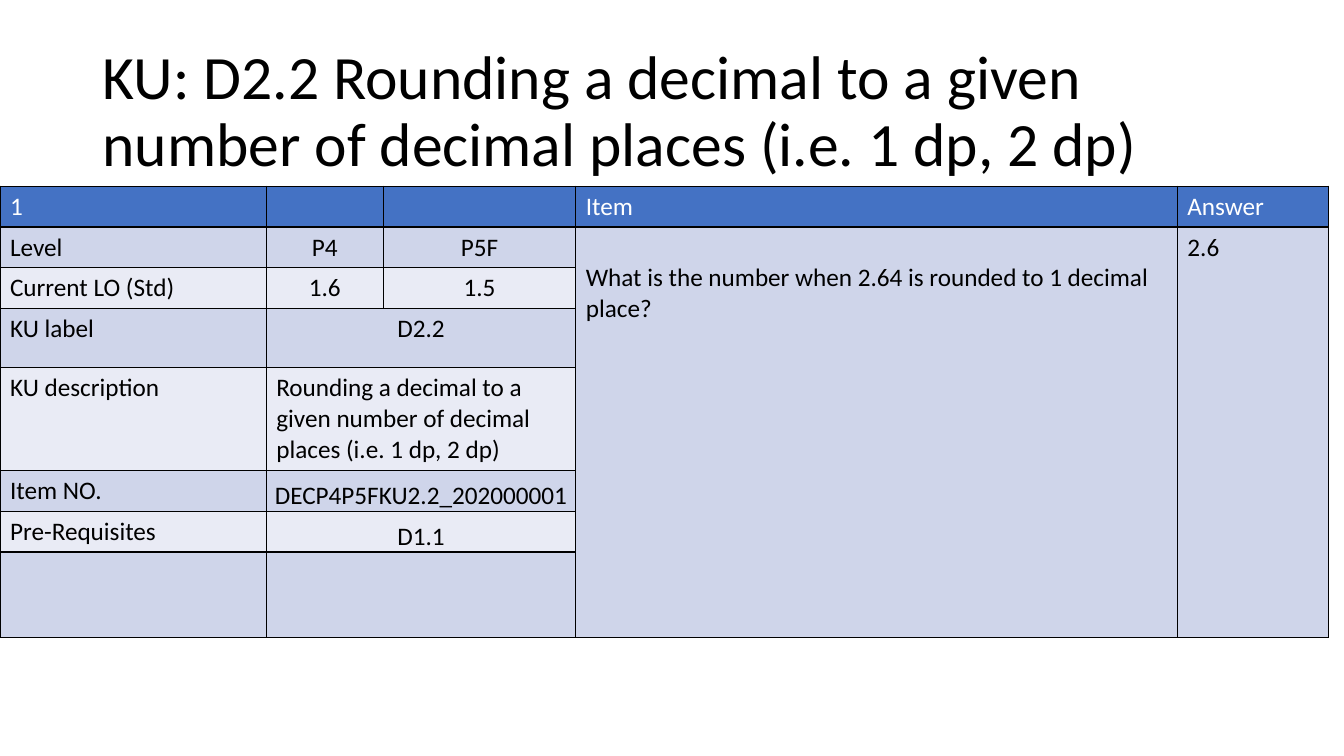
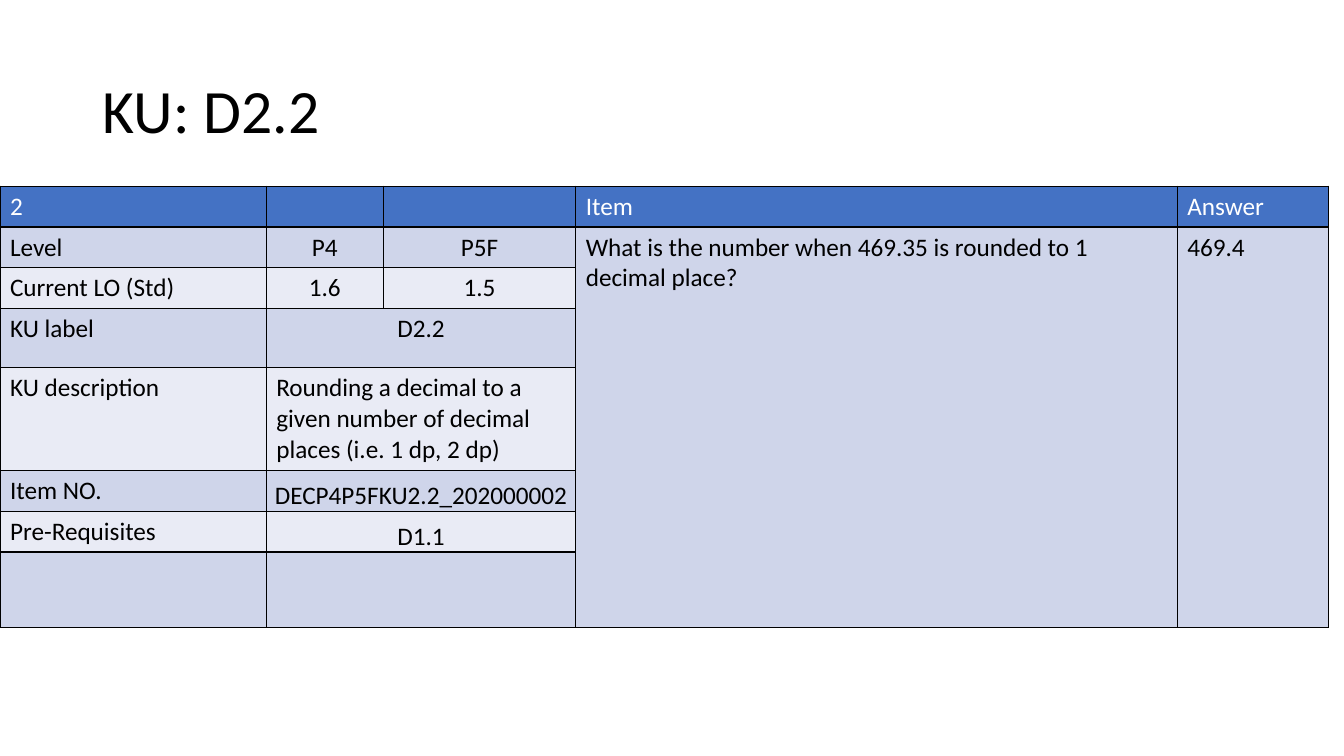
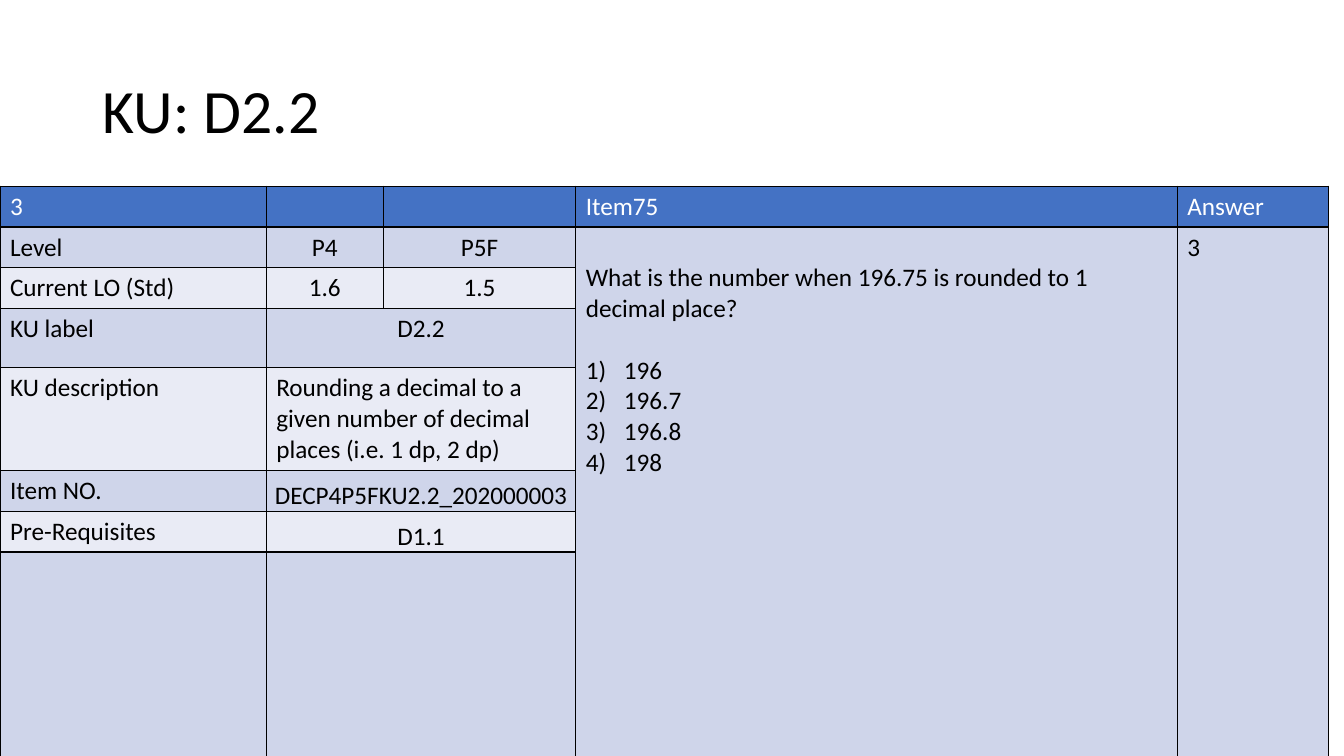
from lxml import etree
from pptx import Presentation
from pptx.dml.color import RGBColor
from pptx.enum.text import MSO_ANCHOR, PP_ALIGN
from pptx.oxml.ns import qn
from pptx.util import Cm, Pt

FONT = "Calibri"
BLACK = RGBColor(0x00, 0x00, 0x00)
WHITE = RGBColor(0xFF, 0xFF, 0xFF)
BLUE = RGBColor(0x44, 0x72, 0xC4)
DARK = RGBColor(0xCF, 0xD5, 0xEA)
PALE = RGBColor(0xE9, 0xEB, 0xF5)

TOPIC = "Rounding a decimal to a given number of decimal places (i.e. 1 dp, 2 dp)"
ASK = "What is the number when {} is rounded to 1 decimal place?"
CODE = "DECP4P5FKU2.2_20200000{}"
LABELS = ["Level", "Current LO (Std)", "KU label", "KU description",
          "Item NO.", "Pre-Requisites"]
LEVELS = [("P4", "P5F"), ("1.6", "1.5")]

ITEMS = [
    dict(title="KU: D2.2 " + TOPIC, head="Item", value="2.64", answer="2.6",
         choices=[], top=0.9, last=2.16),
    dict(title="KU: D2.2", head="Item", value="469.35", answer="469.4",
         choices=[], top=0.13, last=1.9),
    dict(title="KU: D2.2", head="Item75", value="196.75", answer="3",
         choices=["196", "196.7", "196.8", "198"], top=0.9, last=6.5),
]

COLS = [6.71, 2.95, 4.85, 15.16, 3.81]
ROWS = [1.03, 1.03, 1.03, 1.49, 2.58, 1.03, 1.03]
TABLE_TOP = 4.69
TITLE_BOX = (2.33, 1.01, 29.21, 3.68)
LINE = 22
INDENT = Cm(0.96)


def add_run(para, words, size=18, color=BLACK):
    run = para.add_run()
    run.text = words
    run.font.name = FONT
    run.font.size = Pt(size)
    run.font.bold = False
    run.font.color.rgb = color


def write(cell, words, color=BLACK, align=PP_ALIGN.LEFT):
    para = cell.text_frame.paragraphs[0]
    para.alignment = align
    add_run(para, words, color=color)


def add_border(cell):
    props = cell._tc.get_or_add_tcPr()
    for place, side in enumerate(("lnL", "lnR", "lnT", "lnB")):
        line = etree.Element(qn("a:" + side), w=str(Pt(1)))
        fill = etree.SubElement(line, qn("a:solidFill"))
        etree.SubElement(fill, qn("a:srgbClr"), val=str(BLACK))
        props.insert(place, line)


def add_choices(cell, choices):
    for rank, choice in enumerate(choices):
        para = cell.text_frame.add_paragraph()
        if rank == 0:
            para.space_before = Pt(LINE)
        add_run(para, choice)
        props = para._p.get_or_add_pPr()
        props.set("marL", str(INDENT))
        props.set("indent", str(-INDENT))
        etree.SubElement(props, qn("a:buAutoNum"), type="arabicParenR")


def add_title(slide, words):
    title = slide.shapes.title
    title.left, title.top, title.width, title.height = map(Cm, TITLE_BOX)
    frame = title.text_frame
    frame.word_wrap = True
    frame.vertical_anchor = MSO_ANCHOR.MIDDLE
    para = frame.paragraphs[0]
    para.alignment = PP_ALIGN.LEFT
    para.line_spacing = 0.9
    add_run(para, words, size=44)


def add_grid(slide, rows):
    frame = slide.shapes.add_table(len(rows), len(COLS), 0, Cm(TABLE_TOP),
                                   Cm(sum(COLS)), Cm(sum(rows)))
    table = frame.table
    table.first_row = table.horz_banding = False
    for col, width in zip(table.columns, COLS):
        col.width = Cm(width)
    for r, height in enumerate(rows):
        table.rows[r].height = Cm(height)
        for c in range(len(COLS)):
            cell = table.cell(r, c)
            cell.fill.solid()
            band = DARK if r % 2 or c > 2 else PALE
            cell.fill.fore_color.rgb = band if r else BLUE
            add_border(cell)
    end = len(rows) - 1
    for r in range(3, end + 1):
        table.cell(r, 1).merge(table.cell(r, 2))
    for c in (3, 4):
        table.cell(1, c).merge(table.cell(end, c))
    return table


def add_item(deck, number, item):
    slide = deck.slides.add_slide(deck.slide_layouts[5])
    add_title(slide, item["title"])
    table = add_grid(slide, ROWS + [item["last"]])
    for c, words in ((0, str(number)), (3, item["head"]), (4, "Answer")):
        write(table.cell(0, c), words, WHITE)
    for r, words in enumerate(LABELS, 1):
        write(table.cell(r, 0), words)
    for r, pair in enumerate(LEVELS, 1):
        for c, words in enumerate(pair, 1):
            write(table.cell(r, c), words, align=PP_ALIGN.CENTER)
    write(table.cell(3, 1), "D2.2", align=PP_ALIGN.CENTER)
    write(table.cell(4, 1), TOPIC)
    for r, words in ((5, CODE.format(number)), (6, "D1.1")):
        cell = table.cell(r, 1)
        cell.vertical_anchor = MSO_ANCHOR.BOTTOM
        cell.margin_left = cell.margin_right = cell.margin_top = Cm(0.03)
        cell.margin_bottom = 0
        write(cell, words, align=PP_ALIGN.CENTER)
    ask = table.cell(1, 3)
    ask.margin_top = Cm(item["top"])
    write(ask, ASK.format(item["value"]))
    add_choices(ask, item["choices"])
    write(table.cell(1, 4), item["answer"])


deck = Presentation()
deck.slide_width, deck.slide_height = Cm(33.87), Cm(19.05)
for number, item in enumerate(ITEMS, 1):
    add_item(deck, number, item)
deck.save("out.pptx")
